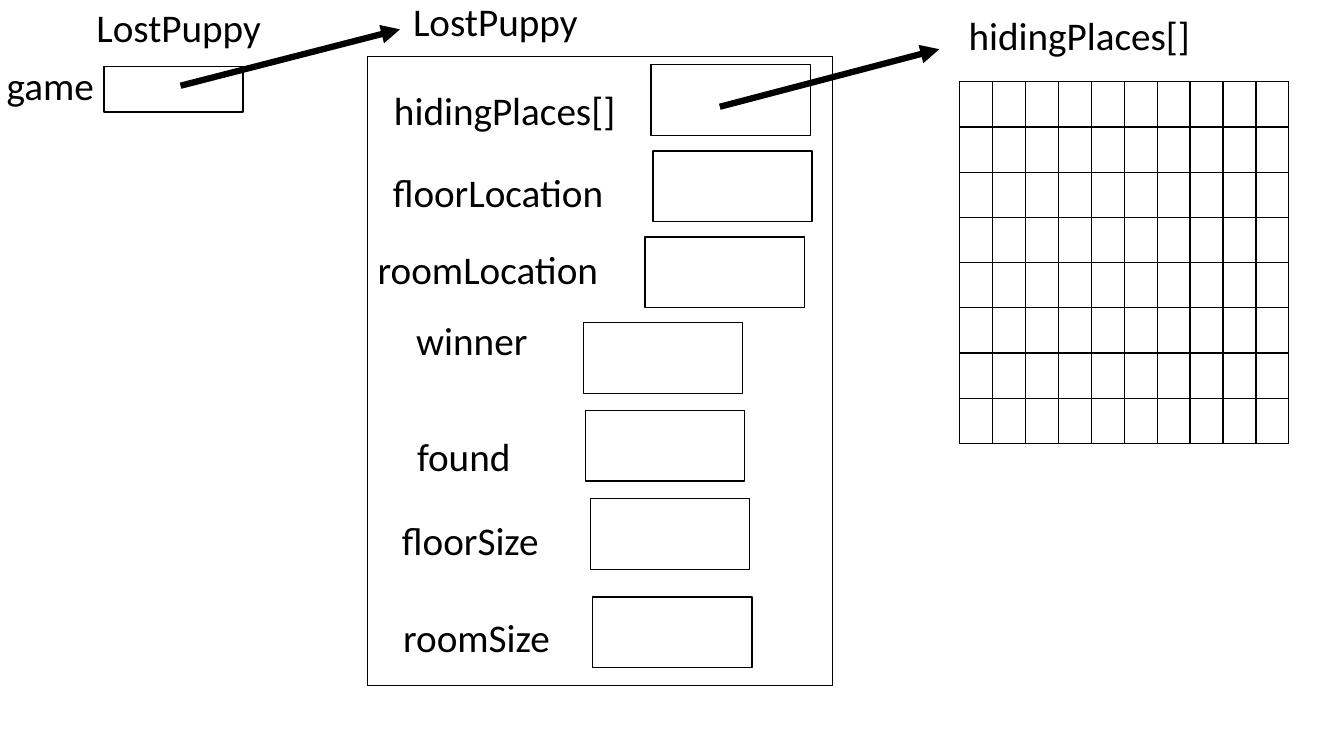
"""Build a memory diagram of a LostPuppy object and its hidingPlaces array."""
from dataclasses import dataclass

from lxml.etree import SubElement
from pptx import Presentation
from pptx.dml.color import RGBColor
from pptx.enum.shapes import MSO_CONNECTOR, MSO_SHAPE
from pptx.enum.text import MSO_AUTO_SIZE
from pptx.oxml import parse_xml
from pptx.oxml.ns import nsdecls, qn
from pptx.util import Cm, Pt


@dataclass(frozen=True)
class Theme:
    ink: str = "000000"
    font: str = "Calibri"
    label_size: int = 28
    thin_line: float = 1
    arrow_line: float = 4.5

    @property
    def ink_color(self):
        return RGBColor.from_string(self.ink)


class Diagram:
    def __init__(self, slide, theme):
        self.slide = slide
        self.theme = theme

    def style_line(self, line, width):
        line.color.rgb = self.theme.ink_color
        line.width = Pt(width)

    def label(self, text, left, top, width):
        box = self.slide.shapes.add_textbox(Cm(left), Cm(top), Cm(width), Cm(1.45))
        frame = box.text_frame
        frame.word_wrap = True
        frame.auto_size = MSO_AUTO_SIZE.SHAPE_TO_FIT_TEXT
        run = frame.paragraphs[0].add_run()
        run.text = text
        run.font.name = self.theme.font
        run.font.size = Pt(self.theme.label_size)
        run.font.color.rgb = self.theme.ink_color

    def box(self, left, top, width, height):
        shape = self.slide.shapes.add_shape(
            MSO_SHAPE.RECTANGLE, Cm(left), Cm(top), Cm(width), Cm(height))
        shape.shadow.inherit = False
        shape.fill.background()
        self.style_line(shape.line, self.theme.thin_line)

    def arrow(self, start, end):
        connector = self.slide.shapes.add_connector(
            MSO_CONNECTOR.STRAIGHT, *map(Cm, start + end))
        self.style_line(connector.line, self.theme.arrow_line)
        properties = connector._element.spPr
        SubElement(properties.find(qn("a:ln")), qn("a:tailEnd"), type="triangle")
        SubElement(properties, qn("a:effectLst"))

    def grid(self, left, top, rows, columns, cell_width, cell_height):
        table = self.slide.shapes.add_table(
            rows, columns, Cm(left), Cm(top),
            Cm(columns * cell_width), Cm(rows * cell_height)).table
        table.first_row = False
        table.horz_banding = False
        for column in table.columns:
            column.width = Cm(cell_width)
        for row in table.rows:
            row.height = Cm(cell_height)
        for cell in table.iter_cells():
            cell.fill.background()
            self.cell_borders(cell)

    def cell_borders(self, cell):
        properties = cell._tc.get_or_add_tcPr()
        for position, side in enumerate(("lnL", "lnR", "lnT", "lnB")):
            properties.insert(position, parse_xml(
                f'<a:{side} {nsdecls("a")} w="{Pt(self.theme.thin_line)}">'
                f'<a:solidFill><a:srgbClr val="{self.theme.ink}"/></a:solidFill>'
                f'</a:{side}>'))


FIELDS = [
    ("hidingPlaces[]", (9.68, 2.06, 7.26), (16.41, 1.63)),
    ("floorLocation", (9.65, 4.11, 6.96), (16.46, 3.81)),
    ("roomLocation", (9.27, 6.05, 7.24), (16.26, 5.97)),
    ("winner", (10.24, 7.85, 4.09), (14.71, 8.13)),
    ("found", (10.26, 10.77, 3.58), (14.76, 10.34)),
    ("floorSize", (9.88, 12.88, 4.83), (14.88, 12.57)),
    ("roomSize", (9.91, 15.34, 5.11), (14.94, 15.04)),
]


def main():
    presentation = Presentation()
    presentation.slide_width = Cm(33.87)
    presentation.slide_height = Cm(19.05)
    slide = presentation.slides.add_slide(presentation.slide_layouts[6])
    diagram = Diagram(slide, Theme())

    diagram.label("LostPuppy", 2.18, -0.05, 5.64)
    diagram.label("game", -0.08, 1.42, 3.4)
    diagram.box(2.62, 1.68, 3.51, 1.14)

    diagram.label("LostPuppy", 10.16, -0.18, 5.64)
    diagram.box(9.27, 1.42, 11.71, 15.85)
    for name, label_place, box_place in FIELDS:
        diagram.label(name, *label_place)
        diagram.box(*box_place, 4.01, 1.78)

    diagram.label("hidingPlaces[]", 24.16, 0.15, 7.26)
    diagram.grid(24.18, 2.06, rows=8, columns=10, cell_width=0.83, cell_height=1.14)

    diagram.arrow((4.55, 2.16), (10.08, 0.74))
    diagram.arrow((18.14, 2.69), (23.67, 1.24))
    presentation.save("out.pptx")


main()
